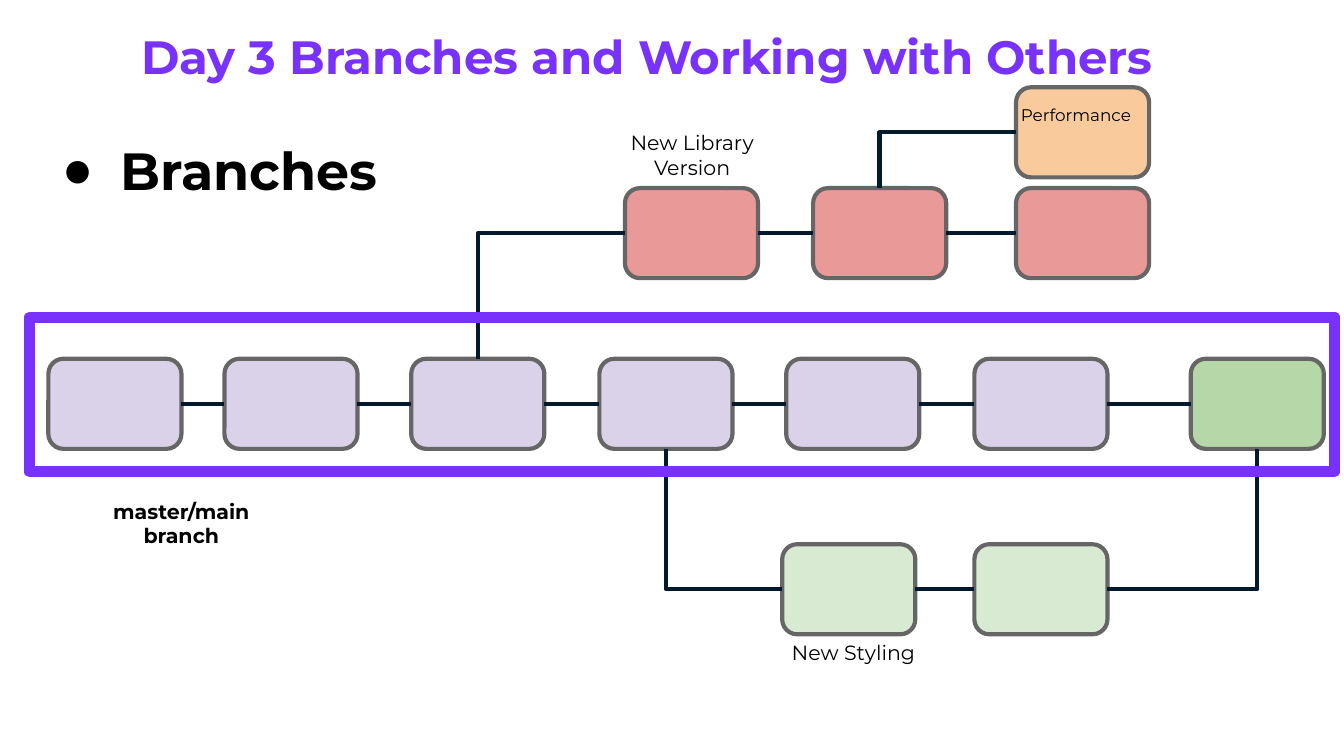
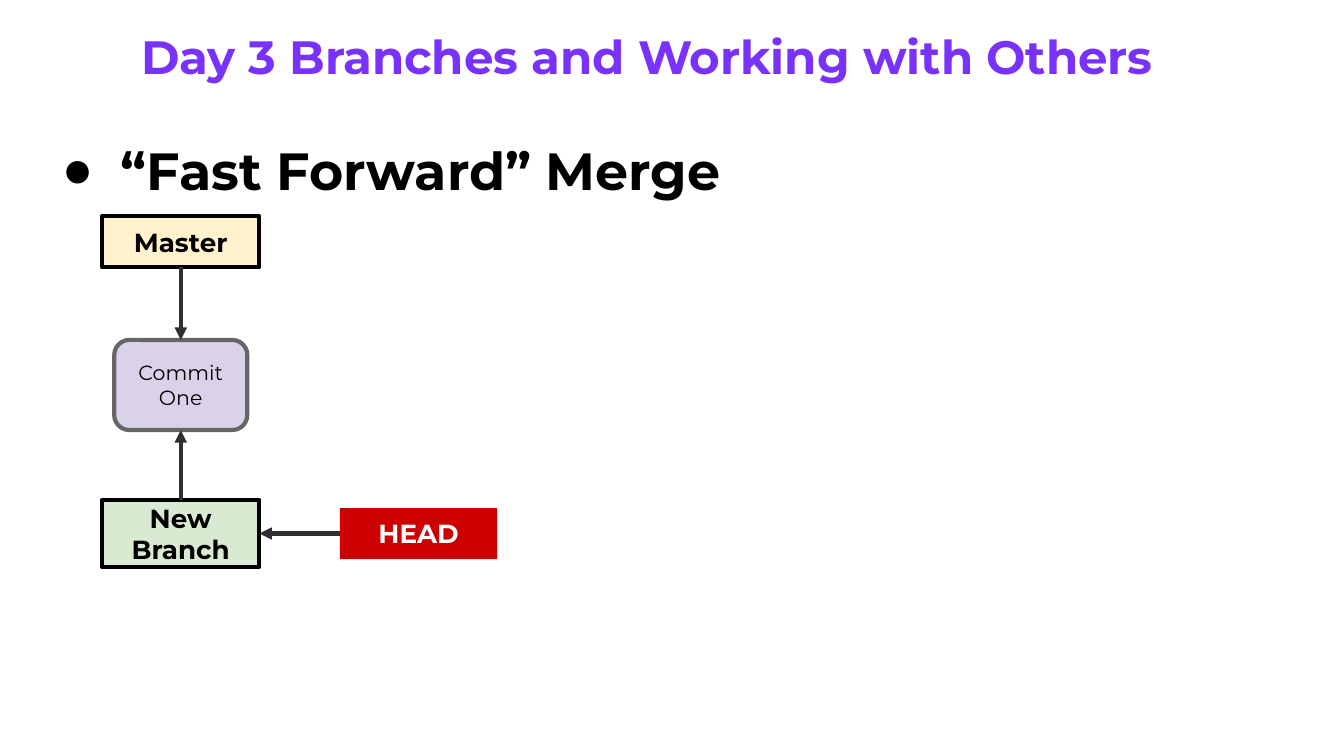
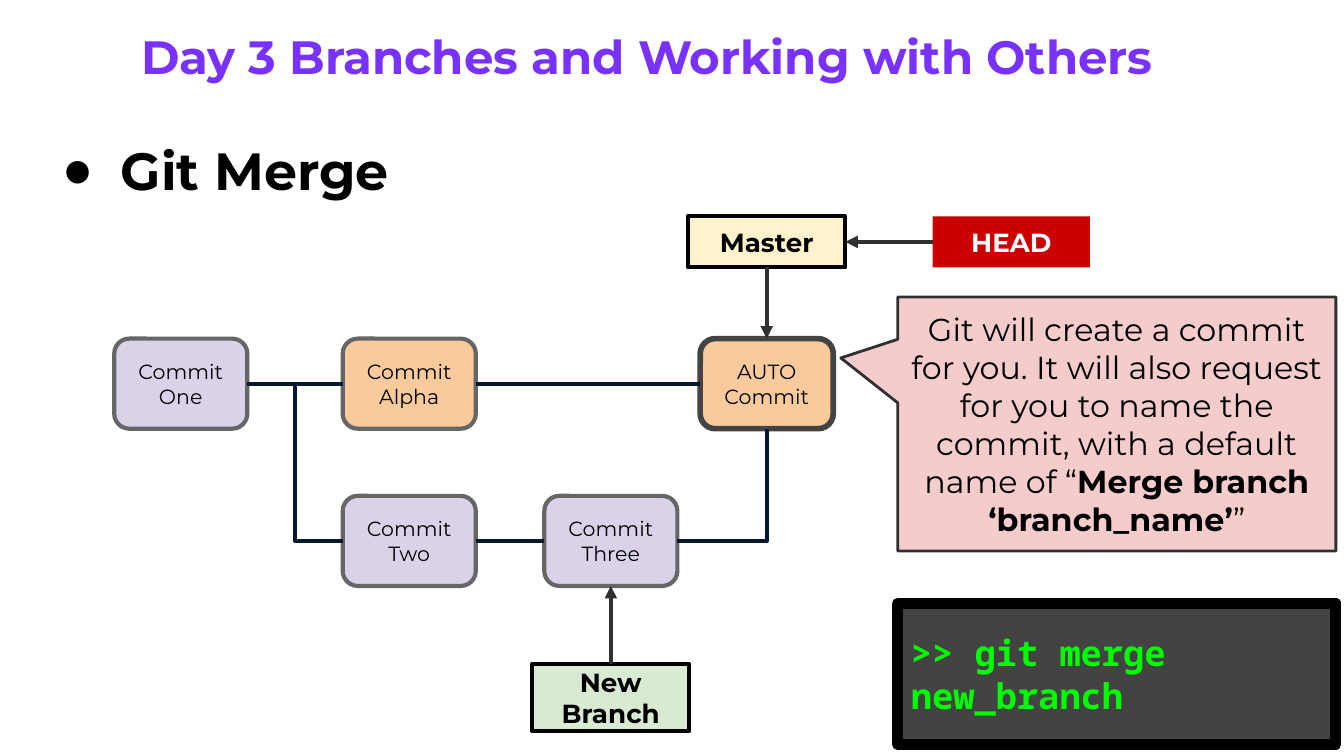
from lxml import etree
from pptx import Presentation
from pptx.dml.color import RGBColor
from pptx.enum.shapes import MSO_CONNECTOR, MSO_SHAPE
from pptx.enum.text import MSO_ANCHOR, MSO_AUTO_SIZE, PP_ALIGN
from pptx.oxml.ns import qn
from pptx.util import Inches, Pt

COLORS = {
    "black": "000000", "white": "FFFFFF", "purple": "7932FC", "navy": "05192D",
    "gray": "666666", "dark_gray": "434343", "charcoal": "303030",
    "lavender": "D9D2E9", "coral": "EA9999", "mint": "D9EAD3", "green": "B6D7A8",
    "orange": "F9CB9C", "cream": "FFF2CC", "red": "CC0000", "pink": "F4CCCC",
    "lime": "00FF00",
}
FONT = "Montserrat"
MONO = "Noto Sans Mono"
TITLE = "Day 3 Branches and Working with Others"

RECT = MSO_SHAPE.RECTANGLE
ROUNDED = MSO_SHAPE.ROUNDED_RECTANGLE
CALLOUT = MSO_SHAPE.RECTANGULAR_CALLOUT
STRAIGHT = MSO_CONNECTOR.STRAIGHT
ELBOW = MSO_CONNECTOR.ELBOW
LEFT_ALIGN = PP_ALIGN.LEFT
CENTER = PP_ALIGN.CENTER
TOP_ANCHOR = MSO_ANCHOR.TOP
MIDDLE = MSO_ANCHOR.MIDDLE
FIXED = MSO_AUTO_SIZE.NONE
GROW = MSO_AUTO_SIZE.SHAPE_TO_FIT_TEXT
TOP, LEFT, BOTTOM, RIGHT = range(4)

COMMIT_SIZE = (0.99, 0.67)
TAG_SIZE = (1.17, 0.38)
BRANCH_SIZE = (1.17, 0.5)


def rgb(color):
    return RGBColor.from_string(COLORS[color])


def format_text(frame, size, color="black", bold=False, align=LEFT_ALIGN,
                anchor=TOP_ANCHOR, font=FONT, fit=FIXED):
    frame.word_wrap = True
    frame.auto_size = fit
    frame.vertical_anchor = anchor
    frame.margin_left = frame.margin_right = Inches(0.1)
    frame.margin_top = frame.margin_bottom = Inches(0.1)
    for paragraph in frame.paragraphs:
        paragraph.alignment = align
        paragraph.space_before = Pt(0)
        paragraph.font.name = font
        paragraph.font.size = Pt(size)
        paragraph.font.bold = bold
        paragraph.font.color.rgb = rgb(color)


def place(shape, left, top, width, height):
    shape.left, shape.top = Inches(left), Inches(top)
    shape.width, shape.height = Inches(width), Inches(height)


def add_bullet(paragraph):
    properties = paragraph._p.get_or_add_pPr()
    properties.set("marL", str(Inches(0.5)))
    properties.set("indent", str(Inches(-0.44)))
    bullet_color = etree.SubElement(properties, qn("a:buClr"))
    etree.SubElement(bullet_color, qn("a:srgbClr"), val=COLORS["black"])
    etree.SubElement(properties, qn("a:buFont"), typeface="Arial")
    etree.SubElement(properties, qn("a:buChar"), char="●")


def add_topic_slide(prs, topic):
    slide = prs.slides.add_slide(prs.slide_layouts[1])
    title, body = slide.shapes.title, slide.placeholders[1]
    place(title, 0.95, 0.11, 8.4, 0.62)
    title.text_frame.text = TITLE
    format_text(title.text_frame, 25, "purple", bold=True, fit=GROW)
    place(body, 0.3, 0.93, 9.25, 0.67)
    body.text_frame.text = topic
    format_text(body.text_frame, 28, bold=True, fit=GROW)
    add_bullet(body.text_frame.paragraphs[0])
    return slide


def add_box(slide, kind, left, top, size, fill=None, line=None, weight=2.25):
    box = slide.shapes.add_shape(kind, Inches(left), Inches(top), *map(Inches, size))
    box.shadow.inherit = False
    if fill:
        box.fill.solid()
        box.fill.fore_color.rgb = rgb(fill)
    else:
        box.fill.background()
    if line:
        box.line.color.rgb = rgb(line)
        box.line.width = Pt(weight)
    else:
        box.line.fill.background()
    return box


def add_commit(slide, left, top, fill, text="", line="gray", weight=2.25):
    commit = add_box(slide, ROUNDED, left, top, COMMIT_SIZE, fill, line, weight)
    if text:
        commit.text_frame.text = text
        format_text(commit.text_frame, 11, align=CENTER, anchor=MIDDLE)
    return commit


def add_tag(slide, text, left, top, fill, size=TAG_SIZE, line="black", color="black"):
    tag = add_box(slide, RECT, left, top, size, fill, line)
    tag.text_frame.text = text
    format_text(tag.text_frame, 14, color, True, CENTER, MIDDLE)
    return tag


def add_master(slide, left, top):
    return add_tag(slide, "Master", left, top, "cream")


def add_new_branch(slide, left, top):
    return add_tag(slide, "New Branch", left, top, "mint", BRANCH_SIZE)


def add_head(slide, left, top):
    return add_tag(slide, "HEAD", left, top, "red", line=None, color="white")


def add_label(slide, text, left, top, width, height, size=11, bold=False):
    label = slide.shapes.add_textbox(*map(Inches, (left, top, width, height)))
    label.text_frame.text = text
    format_text(label.text_frame, size, bold=bold, align=CENTER, fit=GROW)


def connect(slide, kind, start, start_side, end, end_side, color):
    connector = slide.shapes.add_connector(kind, 0, 0, 0, 0)
    connector.begin_connect(start, start_side)
    connector.end_connect(end, end_side)
    connector.line.color.rgb = rgb(color)
    connector.line.width = Pt(2.25)
    etree.SubElement(connector._element.spPr, qn("a:effectLst"))
    return connector


def add_link(slide, start, end):
    return connect(slide, ELBOW, start, RIGHT, end, LEFT, "navy")


def add_corner(slide, start, start_side, end, end_side):
    corner = connect(slide, ELBOW, start, start_side, end, end_side, "navy")
    corner._element.spPr.find(qn("a:prstGeom")).set("prst", "bentConnector2")


def add_arrow(slide, start, start_side, end, end_side):
    arrow = connect(slide, STRAIGHT, start, start_side, end, end_side, "charcoal")
    etree.SubElement(arrow.line._get_or_add_ln(), qn("a:tailEnd"), type="triangle")


def add_commit_row(slide, lefts, top, fill):
    commits = [add_commit(slide, left, top, fill) for left in lefts]
    for earlier, later in zip(commits, commits[1:]):
        add_link(slide, earlier, later)
    return commits


def build_branches(prs):
    slide = add_topic_slide(prs, "Branches")
    main_branch = add_commit_row(
        slide, (0.36, 1.67, 3.06, 4.46, 5.85, 7.25, 8.86), 2.67, "lavender")
    main_branch[-1].fill.fore_color.rgb = rgb("green")
    library = add_commit_row(slide, (4.65, 6.05, 7.56), 1.4, "coral")
    styling = add_commit_row(slide, (5.82, 7.25), 4.05, "mint")
    performance = add_commit(slide, 7.56, 0.65, "orange")

    add_corner(slide, library[0], LEFT, main_branch[2], TOP)
    add_corner(slide, performance, LEFT, library[1], TOP)
    add_corner(slide, styling[0], LEFT, main_branch[3], BOTTOM)
    add_corner(slide, styling[1], RIGHT, main_branch[-1], BOTTOM)

    add_label(slide, "New Library Version", 4.54, 0.87, 1.22, 0.57)
    add_label(slide, "Performance", 7.47, 0.7, 1.07, 0.35, size=9)
    add_label(slide, "New Styling", 5.74, 4.67, 1.22, 0.39)
    add_label(slide, "master/main branch", 0.47, 3.61, 1.76, 0.57, bold=True)
    add_box(slide, RECT, 0.22, 2.36, (9.71, 1.15), line="purple", weight=6)


def build_fast_forward(prs):
    slide = add_topic_slide(prs, "“Fast Forward” Merge")
    commit_one = add_commit(slide, 0.85, 2.53, "lavender", "Commit\nOne")
    master = add_master(slide, 0.76, 1.61)
    new_branch = add_new_branch(slide, 0.76, 3.72)
    head = add_head(slide, 2.53, 3.78)
    add_arrow(slide, master, BOTTOM, commit_one, TOP)
    add_arrow(slide, new_branch, TOP, commit_one, BOTTOM)
    add_arrow(slide, head, LEFT, new_branch, RIGHT)


def add_callout(slide):
    callout = add_box(slide, CALLOUT, 6.68, 2.21, (3.26, 1.89), "pink", "charcoal", 1.5)
    callout.adjustments[0], callout.adjustments[1] = -0.63, -0.26
    format_text(callout.text_frame, 17, align=CENTER, anchor=MIDDLE)
    paragraph = callout.text_frame.paragraphs[0]
    for text, bold in (
        ("Git will create a commit for you. It will also request for you to name "
         "the commit, with a default name of “", False),
        ("Merge branch ‘branch_name’", True),
        ("”", False),
    ):
        run = paragraph.add_run()
        run.text = text
        run.font.bold = bold


def add_terminal(slide, command):
    terminal = add_box(slide, RECT, 6.68, 4.49, (3.26, 1.05), "dark_gray", "black", 6)
    terminal.text_frame.text = command
    format_text(terminal.text_frame, 19, "lime", True, anchor=MIDDLE, font=MONO)


def build_git_merge(prs):
    slide = add_topic_slide(prs, "Git Merge")
    one = add_commit(slide, 0.85, 2.52, "lavender", "Commit\nOne")
    alpha = add_commit(slide, 2.55, 2.52, "orange", "Commit\nAlpha")
    auto = add_commit(slide, 5.21, 2.52, "orange", "AUTO\nCommit", "dark_gray", 3)
    two = add_commit(slide, 2.55, 3.69, "lavender", "Commit\nTwo")
    three = add_commit(slide, 4.05, 3.69, "lavender", "Commit\nThree")
    for earlier, later in ((one, alpha), (alpha, auto), (one, two), (two, three)):
        add_link(slide, earlier, later)
    add_corner(slide, three, RIGHT, auto, BOTTOM)

    master = add_master(slide, 5.12, 1.61)
    head = add_head(slide, 6.94, 1.61)
    new_branch = add_new_branch(slide, 3.96, 4.94)
    add_arrow(slide, master, BOTTOM, auto, TOP)
    add_arrow(slide, head, LEFT, master, RIGHT)
    add_arrow(slide, new_branch, TOP, three, BOTTOM)

    add_callout(slide)
    add_terminal(slide, ">> git merge new_branch")


def main():
    prs = Presentation()
    prs.slide_width = Inches(10)
    prs.slide_height = prs.slide_width * 9 // 16
    build_branches(prs)
    build_fast_forward(prs)
    build_git_merge(prs)
    prs.save("out.pptx")


if __name__ == "__main__":
    main()
